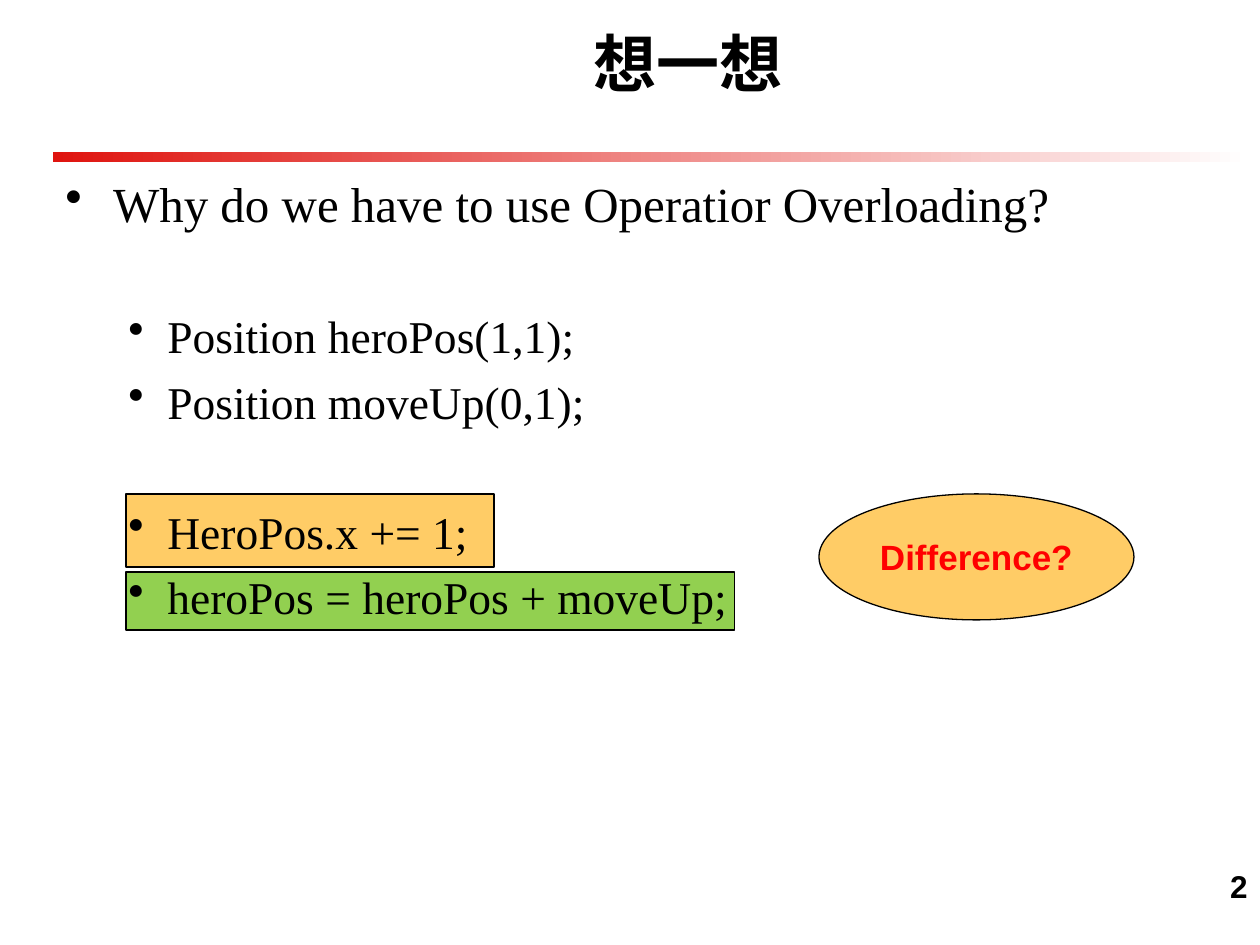
from dataclasses import dataclass

from pptx import Presentation
from pptx.dml.color import RGBColor as Rgb
from pptx.enum.shapes import MSO_SHAPE as Kind
from pptx.enum.text import MSO_ANCHOR as Anchor, PP_ALIGN as Align
from pptx.oxml.ns import qn
from pptx.util import Inches, Pt
from lxml.etree import SubElement


@dataclass(frozen=True)
class Theme:
    black: str = "000000"
    white: str = "FFFFFF"
    red: str = "FF0000"
    rule: str = "DF140F"
    gold: str = "FFCC66"
    green: str = "92D050"
    head: str = "Lato"
    body: str = "Times New Roman"
    sans: str = "Arial"
    title: int = 36
    lead: int = 28
    code: int = 26
    note: int = 20
    page: int = 18


def color(code):
    return Rgb.from_string(code)


def write(para, text, font, size, ink, bold=False, align=Align.LEFT, gap=0):
    para.alignment = align
    para.space_before = Pt(gap)
    run = para.add_run()
    run.text = text
    run.font.name, run.font.size, run.font.bold = font, Pt(size), bold
    run.font.color.rgb = color(ink)
    SubElement(run.font._element, qn("a:ea")).set("typeface", font)


def bullet(para, left, hang):
    """Hang a round bullet to the left of the text."""
    props = para._p.get_or_add_pPr()
    props.set("marL", str(Inches(left)))
    props.set("indent", str(-Inches(hang)))
    SubElement(props, qn("a:buChar")).set("char", "•")


class Deck:
    def __init__(self, theme):
        self.theme = theme
        self.show = Presentation()
        self.show.slide_width, self.show.slide_height = Inches(10), Inches(7.5)
        self.slide = self.show.slides.add_slide(self.show.slide_layouts[6])

    def shape(self, kind, box, fill):
        item = self.slide.shapes.add_shape(kind, *map(Inches, box))
        item.shadow.inherit = False
        item.fill.solid()
        item.fill.fore_color.rgb = color(fill)
        item.line.color.rgb = color(self.theme.black)
        item.line.width = Pt(0.75)
        return item

    def fade(self, box, start, end):
        """Draw a bar that fades from left to right."""
        bar = self.shape(Kind.RECTANGLE, box, start)
        bar.line.fill.background()
        bar.fill.gradient()
        bar.fill.gradient_angle = 0
        for stop, code in zip(bar.fill.gradient_stops, (start, end)):
            stop.color.rgb = color(code)

    def text(self, box, anchor=Anchor.TOP):
        frame = self.slide.shapes.add_textbox(*map(Inches, box)).text_frame
        frame.word_wrap = True
        frame.vertical_anchor = anchor
        return frame

    def label(self, box, text, anchor=Anchor.TOP, **style):
        write(self.text(box, anchor).paragraphs[0], text, **style)

    def oval(self, box, fill, text, **style):
        frame = self.shape(Kind.OVAL, box, fill).text_frame
        frame.vertical_anchor = Anchor.MIDDLE
        write(frame.paragraphs[0], text, **style)

    def points(self, box, lead, lines):
        """Write a lead point and, below it, code lines with their gaps."""
        look = self.theme
        frame = self.text(box)
        first = frame.paragraphs[0]
        write(first, lead, look.body, look.lead, look.black, gap=3)
        bullet(first, 0.38, 0.38)
        for text, gap in lines:
            para = frame.add_paragraph()
            write(para, text, look.body, look.code, look.black, gap=gap)
            bullet(para, 0.81, 0.31)


def main():
    look = Theme()
    deck = Deck(look)
    near, far = 6.5, 43

    deck.fade((0.42, 1.21, 9.5, 0.08), look.rule, look.white)
    deck.shape(Kind.RECTANGLE, (1, 4.54, 4.83, 0.46), look.green)
    deck.shape(Kind.RECTANGLE, (1, 3.92, 2.92, 0.58), look.gold)
    deck.label((1.17, 0.08, 8.58, 0.83), "想一想", Anchor.MIDDLE,
               font=look.head, size=look.title, ink=look.black,
               bold=True, align=Align.CENTER)
    deck.points((0.42, 1.33, 9.33, 5.33),
                "Why do we have to use Operatior Overloading?",
                [("Position heroPos(1,1);", far),
                 ("Position moveUp(0,1);", near),
                 ("HeroPos.x += 1;", far),
                 ("heroPos = heroPos + moveUp;", near)])
    deck.label((7.92, 6.83, 2.08, 0.25), "2", font=look.sans, size=look.page,
               ink=look.black, bold=True, align=Align.RIGHT)
    deck.oval((6.5, 3.92, 2.5, 1), look.gold, "Difference?", font=look.sans,
              size=look.note, ink=look.red, bold=True, align=Align.CENTER)
    deck.show.save("out.pptx")


if __name__ == "__main__":
    main()
